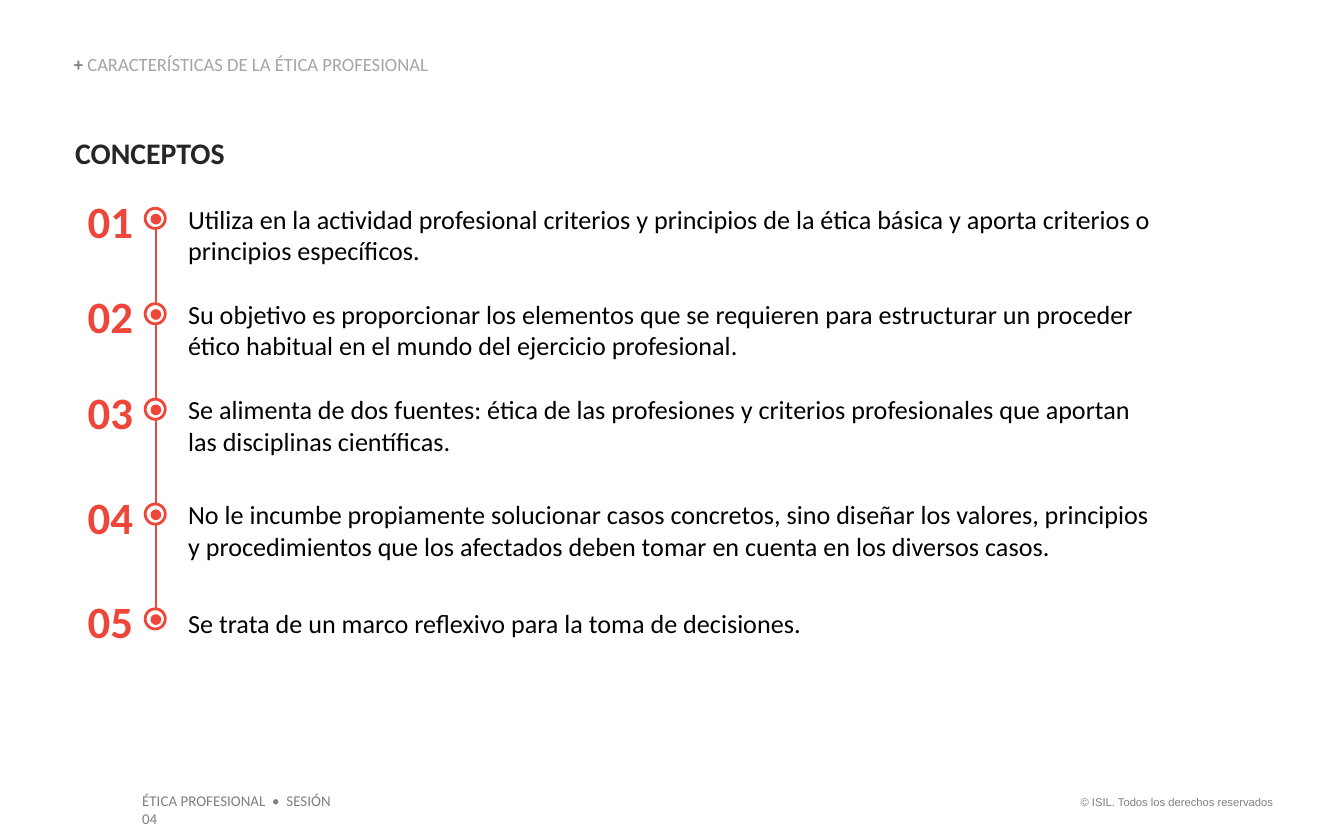
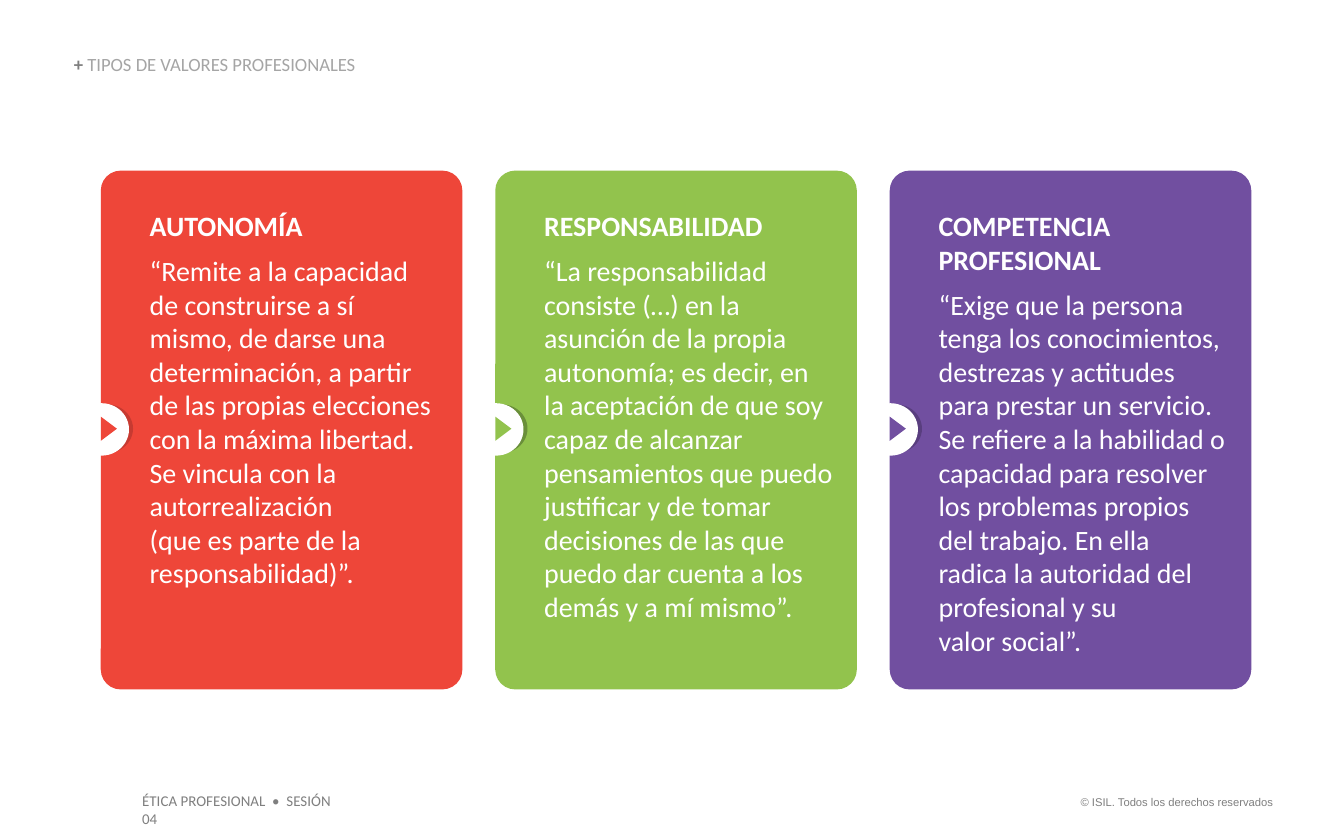
from pptx import Presentation
from pptx.dml.color import RGBColor
from pptx.enum.shapes import MSO_CONNECTOR, MSO_SHAPE
from pptx.enum.text import MSO_ANCHOR, MSO_AUTO_SIZE, PP_ALIGN
from pptx.oxml.ns import qn
from pptx.util import Inches, Pt
from lxml import etree

LEFT, RIGHT = PP_ALIGN.LEFT, PP_ALIGN.RIGHT
TOP, BOTTOM = MSO_ANCHOR.TOP, MSO_ANCHOR.BOTTOM
OVAL, ROUND = MSO_SHAPE.OVAL, MSO_SHAPE.ROUNDED_RECTANGLE
ARROW = MSO_SHAPE.ISOSCELES_TRIANGLE
STRAIGHT = MSO_CONNECTOR.STRAIGHT
FIXED = MSO_AUTO_SIZE.NONE

WHITE = RGBColor(0xFF, 0xFF, 0xFF)
BLACK = RGBColor(0, 0, 0)
DARK = RGBColor(0x26, 0x26, 0x26)
GRAY = RGBColor(0x7F, 0x7F, 0x7F)
PALE = RGBColor(0xA5, 0xA5, 0xA5)
RED = RGBColor(0xEE, 0x46, 0x39)
GREEN = RGBColor(0x92, 0xC3, 0x4D)
PURPLE = RGBColor(0x71, 0x4F, 0xA0)
RED_SHADE = RGBColor(0xC7, 0x3A, 0x31)
GREEN_SHADE = RGBColor(0x6A, 0x8F, 0x3A)
PURPLE_SHADE = RGBColor(0x59, 0x3E, 0x7F)

PLUS = dict(size=10, color=GRAY, bold=True)
TITLE = dict(size=10, color=PALE, bold=False)
HEAD = dict(size=16, color=DARK, bold=True)
ITEM = dict(size=14, color=BLACK)
NUMBER = dict(size=24, color=RED, bold=True)
LABEL = dict(size=15, color=WHITE, bold=True)
QUOTE = dict(size=15, color=WHITE, bold=False)
COURSE = dict(size=8, color=GRAY)
RIGHTS = dict(size=6, color=GRAY, name="Arial")

# Top of the dot, text, line spacing
ITEMS = [
    (1.55, "Utiliza en la actividad profesional criterios y principios de la "
     "ética básica y aporta criterios o principios específicos.", 1.0),
    (2.26, "Su objetivo es proporcionar los elementos que se requieren para "
     "estructurar un proceder ético habitual en el mundo del ejercicio "
     "profesional.", 1.0),
    (2.97, "Se alimenta de dos fuentes: ética de las profesiones y criterios "
     "profesionales que aportan las disciplinas científicas.", 1.0),
    (3.75, "No le incumbe propiamente solucionar casos concretos, sino "
     "diseñar los valores, principios y procedimientos que los afectados "
     "deben tomar en cuenta en los diversos casos.", 1.0),
    (4.53, "Se trata de un marco reflexivo para la toma de decisiones.", 1.13),
]

CARDS = [
    (RED, RED_SHADE, "AUTONOMÍA",
     "“Remite a la capacidad de construirse a sí mismo, de darse una "
     "determinación, a partir de las propias elecciones con la máxima "
     "libertad. Se vincula con la autorrealización \n"
     "(que es parte de la responsabilidad)”."),
    (GREEN, GREEN_SHADE, "RESPONSABILIDAD",
     "“La responsabilidad consiste (…) en la asunción de la propia "
     "autonomía; es decir, en la aceptación de que soy capaz de alcanzar "
     "pensamientos que puedo justificar y de tomar decisiones de las que "
     "puedo dar cuenta a los demás y a mí mismo”."),
    (PURPLE, PURPLE_SHADE, "COMPETENCIA PROFESIONAL",
     "“Exige que la persona tenga los conocimientos, destrezas y actitudes "
     "para prestar un servicio. Se refiere a la habilidad o capacidad para "
     "resolver los problemas propios del trabajo. En ella \n"
     "radica la autoridad del profesional y su \nvalor social”."),
]


def inches(box):
    return [Inches(v) for v in box]


def write(par, text, size, color, name="Calibri", bold=False):
    """Add text to a paragraph, turning each newline into a line break."""
    for i, line in enumerate(text.split("\n")):
        if i:
            par.add_line_break()
        run = par.add_run()
        run.text = line
        values = dict(size=Pt(size), name=name, bold=bold)
        for key, value in values.items():
            setattr(run.font, key, value)
        run.font.color.rgb = color


def set_frame(frame, margins=(0, 0, 0, 0), anchor=TOP):
    left, top, right, bottom = inches(margins)
    values = dict(margin_left=left, margin_top=top, margin_right=right,
                  margin_bottom=bottom, vertical_anchor=anchor,
                  word_wrap=True, auto_size=FIXED)
    for key, value in values.items():
        setattr(frame, key, value)


def add_text(shapes, box, text, style, align=LEFT, margins=(0, 0, 0, 0),
             spacing=1.0):
    label = shapes.add_textbox(*inches(box))
    set_frame(label.text_frame, margins)
    par = label.text_frame.paragraphs[0]
    par.alignment, par.line_spacing = align, spacing
    write(par, text, **style)
    return label


def add_shape(shapes, kind, box, fill, line=None):
    shape = shapes.add_shape(kind, *inches(box))
    shape.shadow.inherit = False
    shape.fill.solid()
    shape.fill.fore_color.rgb = fill
    if line:
        shape.line.color.rgb = line
        shape.line.width = Pt(1.5)
    else:
        shape.line.fill.background()
    return shape


def add_footer(layout, slide):
    """Build the footer texts on a slide and move them to its layout."""
    pad = (0.1, 0.05, 0.1, 0.05)
    for label in (
        add_text(slide.shapes, (7.88, 5.87, 1.69, 0.2),
                 "© ISIL. Todos los derechos reservados", RIGHTS, RIGHT, pad),
        add_text(slide.shapes, (0.96, 5.84, 1.74, 0.24),
                 "ÉTICA PROFESIONAL  •  SESIÓN 04", COURSE, LEFT, pad),
    ):
        layout.shapes._spTree.append(label._element)


def set_layout(layout):
    """Keep only the title placeholder and put it in its place."""
    for holder in list(layout.placeholders):
        if holder.placeholder_format.idx:
            holder._element.getparent().remove(holder._element)
    title = layout.placeholders[0]
    box = inches((0.55, 0.41, 5.23, 0.15))
    title.left, title.top, title.width, title.height = box


def add_slide(deck, layout, text):
    slide = deck.slides.add_slide(layout)
    frame = slide.shapes.title.text_frame
    set_frame(frame, anchor=BOTTOM)
    par = frame.paragraphs[0]
    par.alignment, par.line_spacing = LEFT, 0.9
    write(par, "+ ", **PLUS)
    write(par, text, **TITLE)
    return slide


def add_dot(shapes, left, top):
    group = shapes.add_group_shape().shapes
    add_shape(group, OVAL, (left, top, 0.15, 0.15), WHITE, RED)
    add_shape(group, OVAL, (left + 0.04, top + 0.04, 0.08, 0.08), RED)


def add_steps(shapes, left):
    """Draw the numbered items along a vertical line."""
    axis = left + 0.61
    ends = (axis, ITEMS[0][0] + 0.02, axis, ITEMS[-1][0])
    line = shapes.add_connector(STRAIGHT, *inches(ends))
    line.line.color.rgb = RED
    line.line.width = Pt(1)
    etree.SubElement(line._element.spPr, qn("a:effectLst"))
    for n, (top, text, spacing) in enumerate(ITEMS, 1):
        add_text(shapes, (left + 0.85, top - 0.04, 7.24, 0.47), text, ITEM,
                 spacing=spacing)
        add_text(shapes, (left, top - 0.11, 0.44, 0.4), f"{n:02}", NUMBER,
                 RIGHT)
        add_dot(shapes, left + 0.53, top)


def add_card(shapes, box, color, shade, label, quote):
    left, top = box[:2]
    card = add_shape(shapes, ROUND, box, color)
    card.adjustments[0] = 0.055
    frame = card.text_frame
    set_frame(frame, (0.32, 0.24, 0.12, 0))
    head, body = frame.paragraphs[0], frame.add_paragraph()
    head.alignment = body.alignment = LEFT
    body.space_before = Pt(6)
    write(head, label, **LABEL)
    write(body, quote, **QUOTE)

    group = shapes.add_group_shape().shapes
    add_shape(group, OVAL, (left - 0.14, top + 1.74, 0.38, 0.36), shade)
    add_shape(group, OVAL, (left - 0.2, top + 1.73, 0.41, 0.39), WHITE)
    arrow = add_shape(group, ARROW, (left - 0.03, top + 1.86, 0.18, 0.12),
                      color)
    arrow.rotation = 90


def main():
    deck = Presentation()
    deck.slide_width, deck.slide_height = Inches(10), Inches(6.25)
    layout = deck.slide_layouts[5]
    set_layout(layout)

    slide = add_slide(deck, layout, "CARACTERÍSTICAS DE LA ÉTICA PROFESIONAL")
    add_footer(layout, slide)
    add_text(slide.shapes, (0.56, 1, 1.33, 0.27), "CONCEPTOS", HEAD)
    add_steps(slide.shapes, 0.55)

    slide = add_slide(deck, layout, "TIPOS DE VALORES PROFESIONALES")
    for i, card in enumerate(CARDS):
        add_card(slide.shapes, (0.75 + i * 2.935, 1.27, 2.69, 3.86), *card)

    deck.save("out.pptx")


if __name__ == "__main__":
    main()
